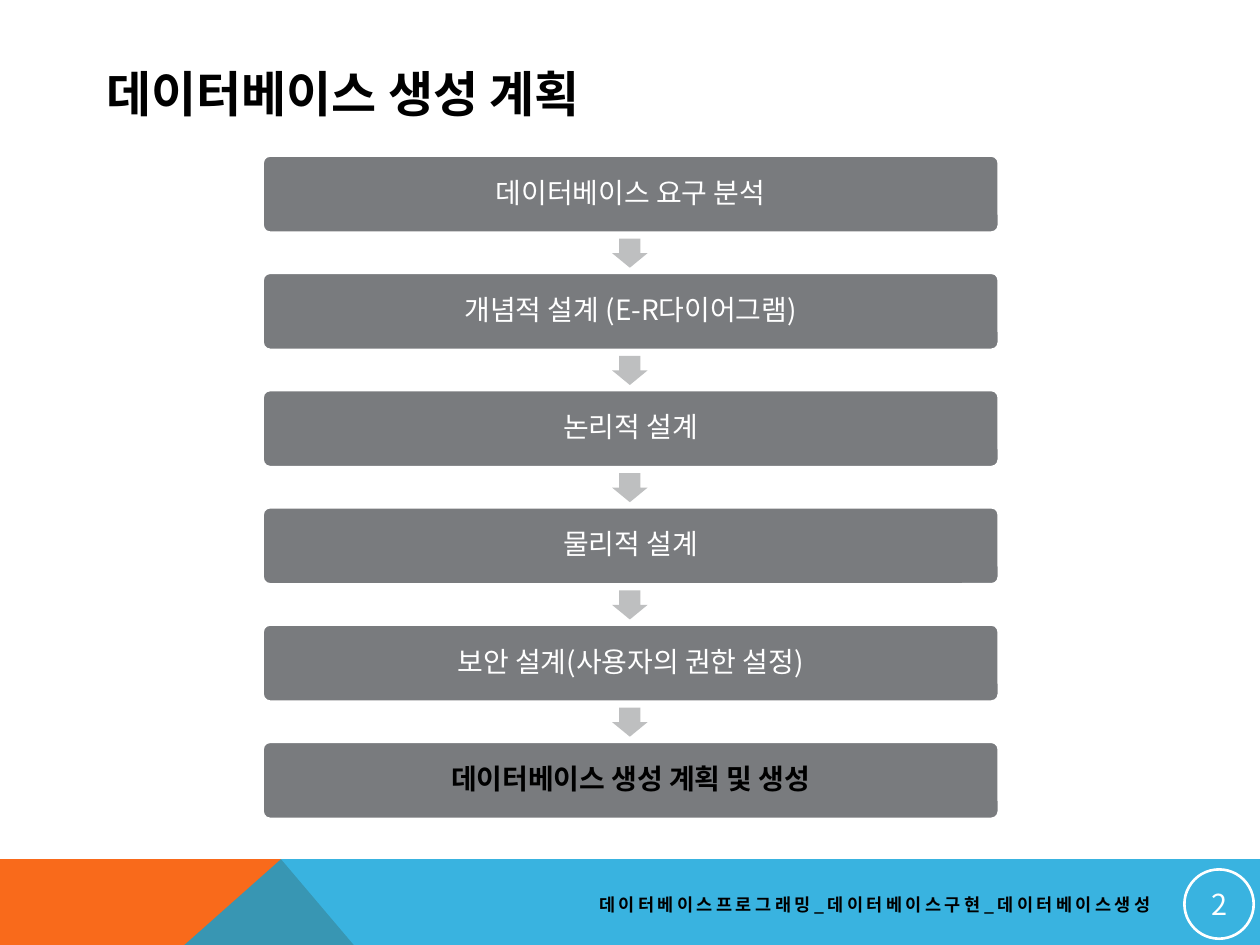
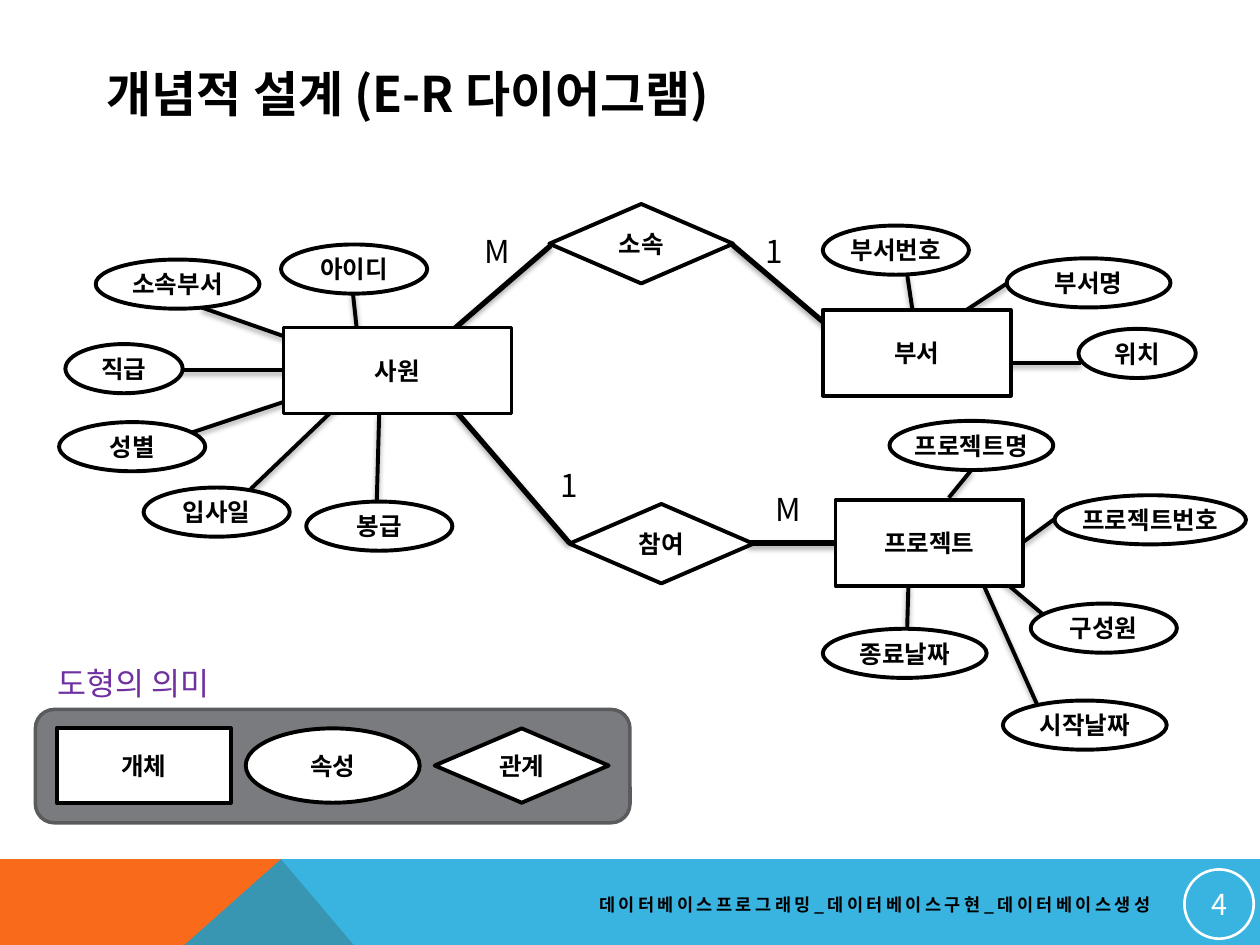
"""Build two slides on database design: the planning steps and the E-R diagram."""
from lxml import etree
from pptx import Presentation
from pptx.dml.color import RGBColor
from pptx.enum.shapes import MSO_CONNECTOR, MSO_SHAPE
from pptx.enum.text import MSO_ANCHOR, MSO_AUTO_SIZE, PP_ALIGN
from pptx.oxml.ns import qn
from pptx.util import Pt

FONT = "Noto Sans CJK KR"
BLACK = RGBColor(0x00, 0x00, 0x00)
WHITE = RGBColor(0xFF, 0xFF, 0xFF)
ORANGE = RGBColor(0xF9, 0x6A, 0x1B)
BLUE = RGBColor(0x08, 0xA1, 0xD9)
GRAY = RGBColor(0x79, 0x7B, 0x7E)
DARK_GRAY = RGBColor(0x5A, 0x5B, 0x5D)
LIGHT_GRAY = RGBColor(0xBE, 0xBF, 0xC0)
PURPLE = RGBColor(0x70, 0x30, 0xA0)

WIDTH, HEIGHT = 720, 540
BAND_TOP, BAND_BOTTOM, BAND_PEAK, BAND_FOOT = 491, 633.6, 160.6, 281.5
FOOTER = "데이터베이스프로그래밍_데이터베이스구현_데이터베이스생성"

STEPS = ["데이터베이스 요구 분석", "개념적 설계 (E-R다이어그램)", "논리적 설계",
         "물리적 설계", "보안 설계(사용자의 권한 설정)", "데이터베이스 생성 계획 및 생성"]
STEP_TOP, STEP_PITCH = 88.6, 67

RELATION_LINES = [
    (314.6, 140.4, 257, 190.1), (325.4, 310.3, 258.5, 232.6),
    (418.3, 139.7, 485.3, 196.6), (487.4, 310.3, 427, 310.3)]
ATTRIBUTE_LINES = [
    (96.5, 211.7, 164.2, 211.7), (108, 247.7, 175, 225.4),
    (143.3, 279.4, 192.2, 232.6), (115.2, 175.7, 175, 196.6),
    (201.6, 167, 203.8, 187.2), (545.8, 181.4, 575.3, 162),
    (617.8, 207.4, 573.8, 207.4), (518.4, 157, 521.3, 176.4),
    (215.3, 286.6, 216.7, 236.2), (518.4, 358.6, 519.1, 334.8),
    (602.6, 296.6, 583.9, 310.3), (555.1, 268.6, 542.2, 284.4),
    (572.4, 331.2, 595.4, 350.6), (562.3, 334.8, 592.6, 402.5)]

SMALL, MEDIUM, LARGE, WIDEST = 67, 83.5, 93.6, 109.4
ATTRIBUTE_HEIGHT = 28.1
ATTRIBUTES = [
    ("직급", 37.4, 196.6, SMALL), ("성별", 33.8, 241.2, MEDIUM),
    ("입사일", 82.1, 278.6, MEDIUM), ("소속부서", 54.7, 148.3, LARGE),
    ("아이디", 160.6, 139.7, MEDIUM), ("봉급", 175, 286.6, MEDIUM),
    ("위치", 616.3, 187.9, SMALL), ("부서명", 575.3, 147.6, LARGE),
    ("부서번호", 470.2, 128.9, MEDIUM), ("종료날짜", 470.2, 359.3, LARGE),
    ("구성원", 589, 344.9, MEDIUM), ("프로젝트번호", 602.6, 283, WIDEST),
    ("시작날짜", 573.1, 400.3, LARGE), ("프로젝트명", 508.3, 240.5, LARGE)]
ENTITIES = [("부서", 470.2, 177.1, 107.3, 2.25), ("사원", 162, 187.2, 130.3, 2),
            ("프로젝트", 477.4, 285.8, 107.3, 2.25)]
RELATIONS = [("소속", 313.9, 116.6), ("참여", 325.4, 288)]
LEGEND = [("개체", MSO_SHAPE.RECTANGLE), ("속성", MSO_SHAPE.OVAL),
          ("관계", MSO_SHAPE.FLOWCHART_DECISION)]
CARDINALITIES = [("1", 430.6, 128.9, 24.5), ("M", 270, 128.9, 31),
                 ("M", 436.3, 276.5, 31), ("1", 313.2, 262.8, 24.5)]


class Deck:
    def __init__(self):
        self.prs = Presentation()
        self.prs.slide_width, self.prs.slide_height = Pt(WIDTH), Pt(HEIGHT)
        self.shapes = None

    def slide(self, title, number):
        self.shapes = self.prs.slides.add_slide(self.prs.slide_layouts[6]).shapes
        self.band([(0, BAND_BOTTOM), (0, BAND_TOP), (BAND_PEAK, BAND_TOP),
                   (BAND_FOOT, BAND_BOTTOM)], ORANGE)
        self.band([(0, BAND_BOTTOM), (BAND_PEAK, BAND_TOP), (WIDTH, BAND_TOP),
                   (WIDTH, BAND_BOTTOM)], BLUE, 80)
        badge = self.shape(MSO_SHAPE.OVAL, 676.8, 496.8, 39.6, 39.6, None, WHITE, 1.5)
        self.set_text(badge, number, 16.5, WHITE, inset=0.72)
        self.text(FOOTER, 292.3, 506.2, 372.2, 21.6, 10, bold=True,
                  align=PP_ALIGN.RIGHT, spacing=2)
        self.text(title, 54, 31.7, 591.8, 43.2, 28, bold=True)

    def band(self, points, color, opacity=100):
        (x, y), *rest = [(Pt(a), Pt(b)) for a, b in points]
        builder = self.shapes.build_freeform(x, y)
        builder.add_line_segments(rest, close=True)
        band = builder.convert_to_shape()
        self.paint(band, color)
        if opacity < 100:
            rgb = band._element.spPr.find(".//" + qn("a:srgbClr"))
            etree.SubElement(rgb, qn("a:alpha"), val=str(opacity * 1000))

    def paint(self, shape, fill, line=None, weight=0):
        shape.shadow.inherit = False
        if fill is None:
            shape.fill.background()
        else:
            shape.fill.solid()
            shape.fill.fore_color.rgb = fill
        if line is None:
            shape.line.fill.background()
        else:
            shape.line.color.rgb = line
            shape.line.width = Pt(weight)

    def shape(self, kind, x, y, w, h, fill, line=None, weight=0):
        shape = self.shapes.add_shape(kind, Pt(x), Pt(y), Pt(w), Pt(h))
        self.paint(shape, fill, line, weight)
        return shape

    def set_text(self, shape, text, size, color, bold=False, align=PP_ALIGN.CENTER,
                 anchor=MSO_ANCHOR.MIDDLE, wrap=True, inset=None, spacing=0,
                 leading=None):
        frame = shape.text_frame
        frame.word_wrap, frame.vertical_anchor = wrap, anchor
        if inset is not None:
            frame.margin_left = frame.margin_right = Pt(inset)
            frame.margin_top = frame.margin_bottom = Pt(inset)
        paragraph = frame.paragraphs[0]
        paragraph.alignment, paragraph.line_spacing = align, leading
        run = paragraph.add_run()
        run.text = text
        font = run.font
        font.name, font.size, font.bold = FONT, Pt(size), bold
        font.color.rgb = color
        properties = run._r.get_or_add_rPr()
        etree.SubElement(properties, qn("a:ea"), typeface=FONT)
        if spacing:
            properties.set("spc", str(spacing * 100))

    def text(self, text, x, y, w, h, size, color=BLACK, bold=False,
             align=PP_ALIGN.LEFT, spacing=0):
        box = self.shapes.add_textbox(Pt(x), Pt(y), Pt(w), Pt(h))
        self.set_text(box, text, size, color, bold, align, spacing=spacing)

    def label(self, text, x, y, w, color=BLACK):
        box = self.shapes.add_textbox(Pt(x), Pt(y), Pt(w), Pt(28.8))
        self.set_text(box, text, 18, color, align=PP_ALIGN.LEFT,
                      anchor=MSO_ANCHOR.TOP, wrap=False)
        box.text_frame.auto_size = MSO_AUTO_SIZE.SHAPE_TO_FIT_TEXT

    def step(self, text, y, final):
        box = self.shape(MSO_SHAPE.ROUNDED_RECTANGLE, 149.8, y, 421.2, 44.6,
                         GRAY, WHITE, 2)
        box.adjustments[0] = 0.1
        self.set_text(box, text, 16, BLACK if final else WHITE, final,
                      inset=5, leading=0.9)

    def step_arrow(self, y):
        arrow = self.shape(MSO_SHAPE.RIGHT_ARROW, 351.6, y, 16.6, 20.2, LIGHT_GRAY)
        arrow.adjustments[0], arrow.adjustments[1] = 0.6, 0.5
        arrow.rotation = 90

    def node(self, kind, text, x, y, w, h, weight=2.25):
        node = self.shape(kind, x, y, w, h, WHITE, BLACK, weight)
        self.set_text(node, text, 14, BLACK, bold=True, wrap=False)

    def line(self, x1, y1, x2, y2, weight):
        line = self.shapes.add_connector(MSO_CONNECTOR.STRAIGHT,
                                         Pt(x1), Pt(y1), Pt(x2), Pt(y2))
        line.line.color.rgb, line.line.width = BLACK, Pt(weight)
        effects = etree.SubElement(line._element.spPr, qn("a:effectLst"))
        shadow = etree.SubElement(effects, qn("a:outerShdw"), blurRad=str(Pt(3.1)),
                                  dist=str(Pt(1.8)), dir="5400000", rotWithShape="0")
        color = etree.SubElement(shadow, qn("a:srgbClr"), val=str(BLACK))
        etree.SubElement(color, qn("a:alpha"), val="35000")


def planning_slide(deck):
    deck.slide("데이터베이스 생성 계획", "2")
    last = len(STEPS) - 1
    for i, text in enumerate(STEPS):
        top = STEP_TOP + i * STEP_PITCH
        deck.step(text, top, i == last)
        if i < last:
            deck.step_arrow(top + 46)


def diagram_slide(deck):
    deck.slide("개념적 설계 (E-R 다이어그램)", "4")
    deck.shape(MSO_SHAPE.ROUNDED_RECTANGLE, 20.2, 405.4, 339.8, 64.8,
               GRAY, DARK_GRAY, 2)
    for ends in RELATION_LINES:
        deck.line(*ends, 3)
    for ends in ATTRIBUTE_LINES:
        deck.line(*ends, 2.25)
    for text, x, y, w in ATTRIBUTES:
        deck.node(MSO_SHAPE.OVAL, text, x, y, w, ATTRIBUTE_HEIGHT)
    for text, x, y in RELATIONS:
        deck.node(MSO_SHAPE.DIAMOND, text, x, y, 105.1, 45.4)
    for text, x, y, w, weight in ENTITIES:
        deck.node(MSO_SHAPE.RECTANGLE, text, x, y, w, 49, weight)
    for i, (text, kind) in enumerate(LEGEND):
        deck.node(kind, text, 32.4 + i * 108, 416.2, 99.4, 42.5)
    for text, x, y, w in CARDINALITIES:
        deck.label(text, x, y, w)
    deck.label("도형의 의미", 25.9, 375.8, 111.6, PURPLE)


deck = Deck()
planning_slide(deck)
diagram_slide(deck)
deck.prs.save("out.pptx")
